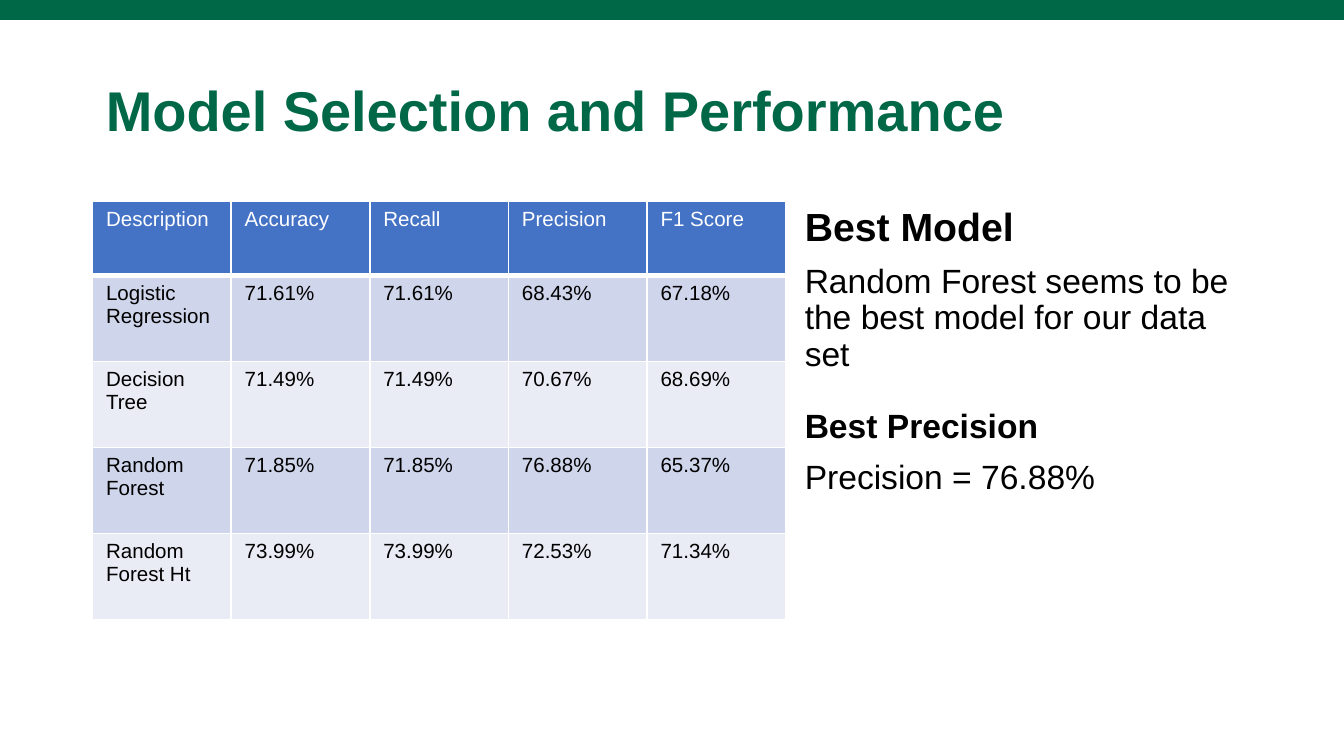
import pptx
import pptx.dml.color
import pptx.enum.shapes
import pptx.enum.text
import pptx.oxml
import pptx.oxml.ns
import pptx.util
from pptx.util import Cm, Pt

COLORS = {
    "green": "006747",
    "header": "4472C4",
    "band_dark": "CFD5EA",
    "band_light": "E9EBF5",
    "white": "FFFFFF",
    "black": "000000",
}

METRICS = [
    ["Description", "Accuracy", "Recall", "Precision", "F1 Score"],
    ["Logistic Regression", "71.61%", "71.61%", "68.43%", "67.18%"],
    ["Decision Tree", "71.49%", "71.49%", "70.67%", "68.69%"],
    ["Random Forest", "71.85%", "71.85%", "76.88%", "65.37%"],
    ["Random Forest Ht", "73.99%", "73.99%", "72.53%", "71.34%"],
]

FINDINGS = [
    ("Best Model", 21, True, 7.5),
    ("Random Forest seems to be the best model for our data set", 18, False, 7.5),
    ("Best Precision", 18, True, 19.5),
    ("Precision = 76.88%", 18, False, 7.5),
]


def rgb(name):
    """Return the named colour."""
    return pptx.dml.color.RGBColor.from_string(COLORS[name])


def set_font(p, size, color, bold=False):
    """Set the font of a whole paragraph."""
    p.font.name = "Arial"
    p.font.size = Pt(size)
    p.font.bold = bold
    p.font.color.rgb = rgb(color)


def add_text_frame(s, box):
    """Add a wrapping text box and return its frame."""
    tf = s.shapes.add_textbox(*box).text_frame
    tf.word_wrap = True
    return tf


def add_top_bar(s, box):
    """Draw the green bar across the top."""
    sp = s.shapes.add_shape(pptx.enum.shapes.MSO_SHAPE.RECTANGLE, *box)
    sp.shadow.inherit = False
    sp.fill.solid()
    sp.fill.fore_color.rgb = rgb("green")
    sp.line.fill.background()


def add_title(s, box, text):
    """Place the slide title, centred vertically in its box."""
    tf = add_text_frame(s, box)
    tf.vertical_anchor = pptx.enum.text.MSO_ANCHOR.MIDDLE
    p = tf.paragraphs[0]
    p.text = text
    p.line_spacing = 0.9
    set_font(p, 30, "green", True)


def add_findings(s, box, findings):
    """Place the headings and remarks beside the table."""
    tf = add_text_frame(s, box)
    for i, (text, size, bold, gap) in enumerate(findings):
        p = tf.add_paragraph() if i else tf.paragraphs[0]
        p.text = text
        p.line_spacing = 0.9
        p.space_before = Pt(gap)
        set_font(p, size, "black", bold)


def set_borders(cell, widths):
    """Give a cell white borders, with widths in points by side."""
    tcPr = cell._tc.get_or_add_tcPr()
    for i, (side, width) in enumerate(widths.items()):
        ln = pptx.oxml.parse_xml(
            f'<a:ln{side} {pptx.oxml.ns.nsdecls("a")} w="{Pt(width)}"><a:solidFill>'
            f'<a:srgbClr val="{COLORS["white"]}"/></a:solidFill></a:ln{side}>'
        )
        tcPr.insert(i, ln)


def add_metrics_table(s, box, rows, header_height):
    """Place the banded table of model metrics."""
    table = s.shapes.add_table(len(rows), len(rows[0]), *box).table
    for col in table.columns:
        col.width = box[2] // len(rows[0])
    for i, values in enumerate(rows):
        body_height = (box[3] - header_height) // (len(rows) - 1)
        table.rows[i].height = body_height if i else header_height
        band = "band_dark" if i % 2 else "band_light"
        for j, value in enumerate(values):
            cell = table.cell(i, j)
            cell.text = value
            cell.fill.solid()
            cell.fill.fore_color.rgb = rgb(band if i else "header")
            set_font(cell.text_frame.paragraphs[0], 11, "black" if i else "white")
            top, bottom = (3 if i == 1 else 1), (1 if i else 3)
            set_borders(cell, {"L": 1, "R": 1, "T": top, "B": bottom})


def main():
    """Build and save the slide."""
    prs = pptx.Presentation()
    prs.slide_width, prs.slide_height = Cm(25.4), Cm(14.29)
    s = prs.slides.add_slide(prs.slide_layouts[6])
    add_top_bar(s, (0, 0, prs.slide_width, Cm(0.38)))
    add_title(s, (Cm(1.75), Cm(0.76), Cm(21.9), Cm(2.77)),
              "Model Selection and Performance")
    add_findings(s, (Cm(14.96), Cm(3.81), Cm(8.69), Cm(9.07)), FINDINGS)
    add_metrics_table(s, (Cm(1.75), Cm(3.81), Cm(13.1), Cm(7.9)), METRICS, Cm(1.4))
    prs.save("out.pptx")


if __name__ == "__main__":
    main()
